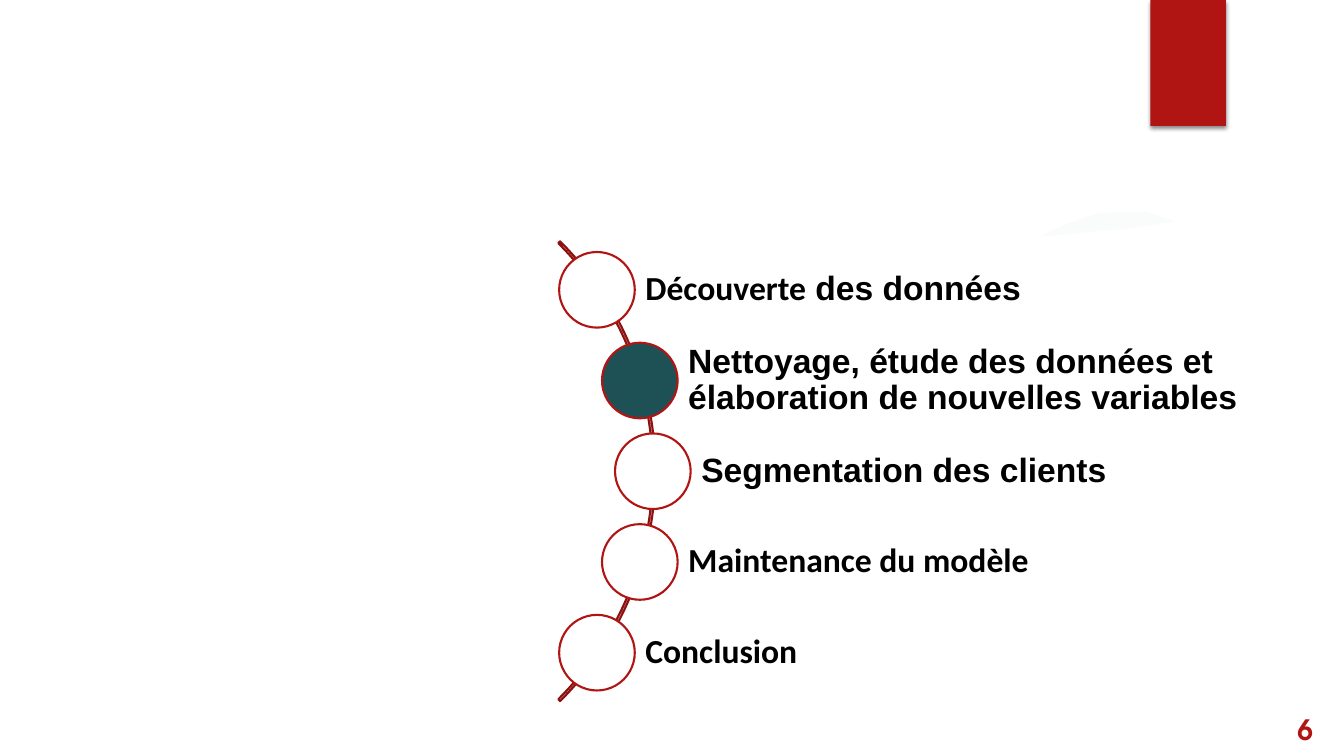
import math
import pptx
import pptx.util
import pptx.dml.color
import pptx.enum.shapes
import pptx.enum.text
import pptx.oxml
import pptx.oxml.ns

Inches = pptx.util.Inches
SHAPES = pptx.enum.shapes.MSO_SHAPE
RED, DARK_RED, TEAL, WHITE, BLACK = "B01513", "8D110F", "1E5155", "FFFFFF", "000000"

# Each agenda item: bar height, whether it is current, runs of (text, font)
AGENDA = [
    (0.48, False, [("Découverte", "Calibri"), (" des données", "Arial")]),
    (0.71, True, [("Nettoyage, étude des données et élaboration de nouvelles variables", "Arial")]),
    (0.47, False, [("Segmentation des clients", "Arial")]),
    (0.47, False, [("Maintenance du modèle", "Calibri")]),
    (0.6, False, [("Conclusion", "Calibri")]),
]


def rgb(color):
    return pptx.dml.color.RGBColor.from_string(color)


def paint(sp, fill=None, line=None):
    sp.shadow.inherit = False
    if fill:
        sp.fill.solid()
        sp.fill.fore_color.rgb = rgb(fill)
    else:
        sp.fill.background()
    if line:
        sp.line.color.rgb = rgb(line)
        sp.line.width = pptx.util.Pt(1.5)
    else:
        sp.line.fill.background()


def add_shape(s, kind, box, fill=None, line=None):
    sp = s.shapes.add_shape(kind, *map(Inches, box))
    paint(sp, fill, line)
    return sp


def write(sp, runs, size, color, **frame_format):
    tf = sp.text_frame
    settings = {"word_wrap": True, "vertical_anchor": pptx.enum.text.MSO_ANCHOR.MIDDLE}
    for name, value in (settings | frame_format).items():
        setattr(tf, name, value)
    p = tf.paragraphs[0]
    p.alignment = pptx.enum.text.PP_ALIGN.LEFT
    for text, font in runs:
        r = p.add_run()
        r.text = text
        for name, value in {"name": font, "size": pptx.util.Pt(size), "bold": True}.items():
            setattr(r.font, name, value)
        r.font.color.rgb = rgb(color)
    return p


def add_backdrop(s, left, top, width, height):
    # Faint sliver above the agenda
    outline = [(0, 1), (0.2, 0.5), (0.45, 0.05), (0.8, 0), (1, 0.4), (0.6, 0.7)]
    points = [(Inches(left + x * width), Inches(top + y * height)) for x, y in outline]
    builder = s.shapes.build_freeform(*points[0], scale=1.0)
    builder.add_line_segments(points[1:], close=True)
    paint(builder.convert_to_shape(), "FAFCFC")


def add_ribbon(s, *box):
    sp = add_shape(s, SHAPES.RECTANGLE, box, RED)
    # Soft shadow below the ribbon
    effects = sp._element.spPr.find(pptx.oxml.ns.qn("a:effectLst"))
    effects.append(pptx.oxml.parse_xml(
        f'<a:outerShdw {pptx.oxml.ns.nsdecls("a")} blurRad="38100" dist="25400" dir="5400000">'
        '<a:srgbClr val="000000"><a:alpha val="45000"/></a:srgbClr></a:outerShdw>'))


def add_agenda(s, left, top, diameter, right):
    # Arc from 315 to 45 degrees
    arc = add_shape(s, SHAPES.BLOCK_ARC, (left, top, diameter, diameter), None, DARK_RED)
    for i, value in enumerate((189, 27, 0.004)):
        arc.adjustments[i] = value

    # Items sit along the arc at equal vertical steps
    center_x, center_y = left + diameter / 2, top + diameter / 2
    orbit, step, dot = 3.2, 0.9, 0.75
    for i, (height, current, runs) in enumerate(AGENDA):
        dy = (i - (len(AGENDA) - 1) / 2) * step
        x, y = center_x + math.sqrt(orbit ** 2 - dy ** 2), center_y + dy
        bar = add_shape(s, SHAPES.RECTANGLE, (x, y - height / 2, right - x, height), WHITE, WHITE)
        p = write(bar, runs, 24, BLACK, margin_left=Inches(0.48), margin_right=Inches(0.07),
                  margin_top=Inches(0.07), margin_bottom=Inches(0.07))
        p.line_spacing = 0.9
        add_shape(s, SHAPES.OVAL, (x - dot / 2, y - dot / 2, dot, dot),
                  TEAL if current else WHITE, RED)


def add_page_number(s, *box):
    sp = s.shapes.add_textbox(*map(Inches, box))
    write(sp, [("6", "TeX Gyre Adventor")], 20, RED)


def main():
    prs = pptx.Presentation()
    prs.slide_width, prs.slide_height = Inches(13.33), Inches(7.5)
    s = prs.slides.add_slide(prs.slide_layouts[6])
    s.background.fill.solid()
    s.background.fill.fore_color.rgb = rgb(WHITE)
    add_backdrop(s, 10.3, 2.1, 1.35, 0.25)
    add_ribbon(s, 11.41, 0, 0.75, 1.25)
    add_agenda(s, 0.05, 1.45, 6.45, 13.27)
    add_page_number(s, 12.77, 7.07, 0.49, 0.34)
    prs.save("out.pptx")


if __name__ == "__main__":
    main()
